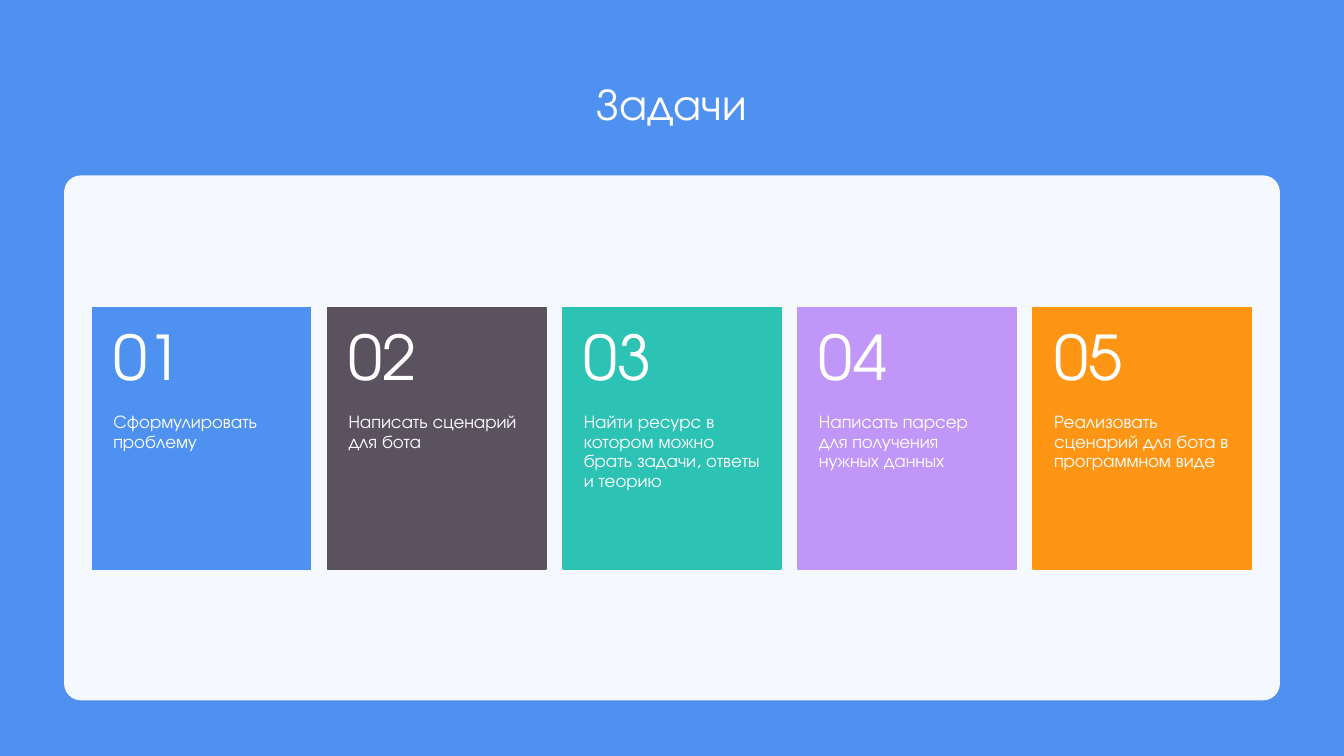
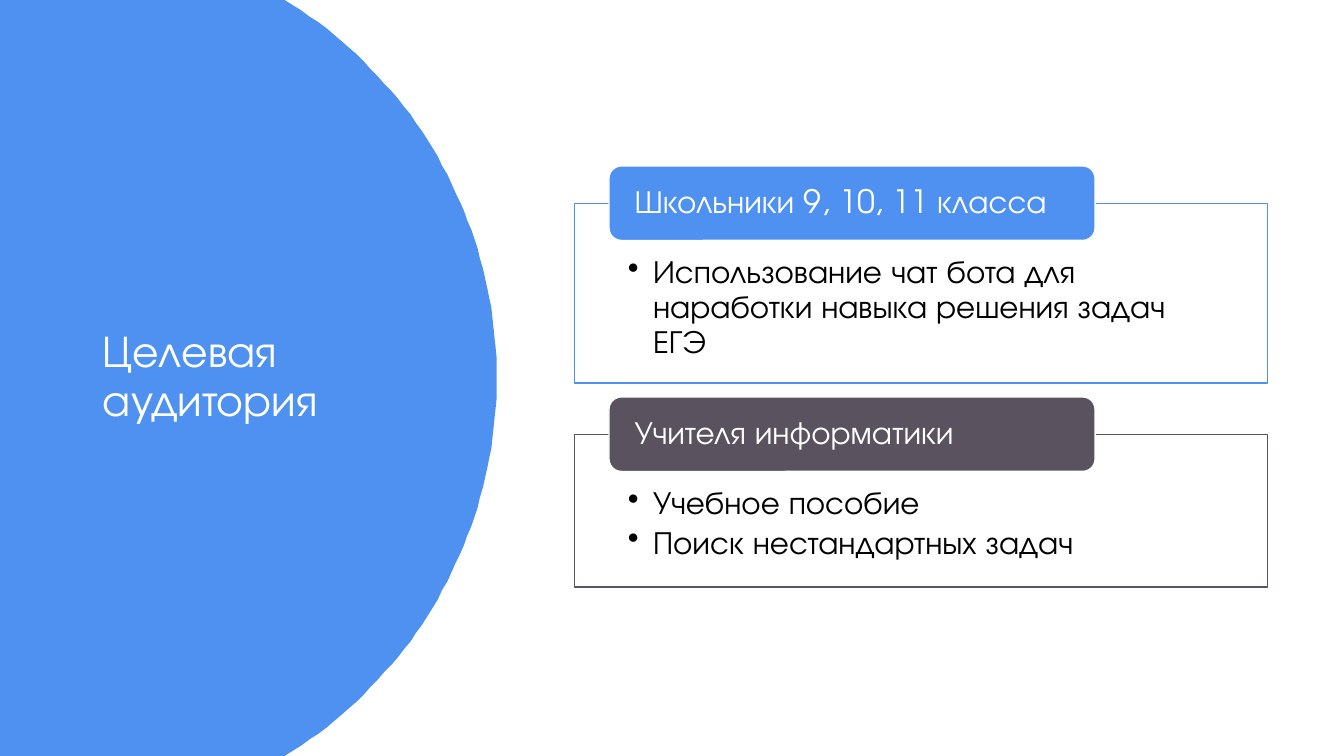
from dataclasses import dataclass
from math import acos, cos, sin

from lxml.etree import SubElement
from pptx import Presentation
from pptx.dml.color import RGBColor
from pptx.enum.shapes import MSO_SHAPE
from pptx.enum.text import MSO_ANCHOR, PP_ALIGN
from pptx.oxml.ns import qn
from pptx.util import Emu, Pt

SLIDE_W, SLIDE_H = 1280, 720


@dataclass(frozen=True)
class Theme:
    font: str = "TeX Gyre Adventor"
    blue: str = "4E91F0"
    grey: str = "5B5260"
    teal: str = "2CC3B4"
    violet: str = "C097F8"
    orange: str = "FF9514"
    white: str = "FFFFFF"
    black: str = "000000"
    title_size: int = 32
    number_size: int = 44
    card_size: int = 13
    body_size: int = 23


THEME = Theme()

TASKS = [
    (THEME.blue, "Сформулировать проблему"),
    (THEME.grey, "Написать сценарий для бота"),
    (THEME.teal, "Найти ресурс в котором можно брать задачи, ответы и теорию"),
    (THEME.violet, "Написать парсер для получения нужных данных"),
    (THEME.orange, "Реализовать сценарий для бота в программном виде"),
]

AUDIENCES = [
    (194, 171, THEME.blue, "Школьники 9, 10, 11 класса",
     ["Использование чат бота для наработки навыка решения задач ЕГЭ"]),
    (414, 145, THEME.grey, "Учителя информатики",
     ["Учебное пособие", "Поиск нестандартных задач"]),
]


def px(n):
    return Emu(n * 9525)


def rgb(color):
    return RGBColor.from_string(color)


def add_slide(prs, color):
    s = prs.slides.add_slide(prs.slide_layouts[6])
    s.background.fill.solid()
    s.background.fill.fore_color.rgb = rgb(color)
    return s


def paint(sp, fill, line=None):
    sp.shadow.inherit = False
    sp.fill.solid()
    sp.fill.fore_color.rgb = rgb(fill)
    if line:
        sp.line.color.rgb = rgb(line)
        sp.line.width = Pt(1)
    else:
        sp.line.fill.background()


def add_box(s, box, fill, line=None, kind=MSO_SHAPE.RECTANGLE):
    sp = s.shapes.add_shape(kind, *map(px, box))
    paint(sp, fill, line)
    return sp


def set_opacity(sp, percent):
    color = sp.fill._xPr.find(f".//{qn('a:srgbClr')}")
    SubElement(color, qn("a:alpha"), val=str(percent * 1000))


def add_bullet(p, indent):
    pPr = p._p.get_or_add_pPr()
    pPr.set("marL", str(px(indent)))
    pPr.set("indent", str(-px(indent)))
    SubElement(pPr, qn("a:buChar"), char="•")


def write(sp, lines, size, color=THEME.white, insets=(10, 5, 10, 5),
          anchor=MSO_ANCHOR.MIDDLE, align=PP_ALIGN.LEFT, bullets=False):
    """Fill a shape with paragraphs; insets run left, top, right, bottom."""
    tf = sp.text_frame
    tf.word_wrap = True
    tf.vertical_anchor = anchor
    tf.margin_left, tf.margin_top, tf.margin_right, tf.margin_bottom = map(px, insets)
    tf.text = "\n".join(lines)
    for p in tf.paragraphs:
        p.alignment = align
        p.line_spacing = 0.9
        if bullets:
            p.space_after = Pt(size * 0.15)
            add_bullet(p, 24)
        for r in p.runs:
            r.font.name = THEME.font
            r.font.size = Pt(size)
            r.font.color.rgb = rgb(color)


def add_text(s, box, text, size, **style):
    write(s.shapes.add_textbox(*map(px, box)), [text], size, **style)


def add_title(s, box, text, align=PP_ALIGN.LEFT):
    add_text(s, box, text, THEME.title_size, align=align)


def add_panel(s):
    sp = add_box(s, (61, 167, 1158, 500), THEME.white,
                 kind=MSO_SHAPE.ROUNDED_RECTANGLE)
    sp.adjustments[0] = 0.032
    set_opacity(sp, 95)


def add_card(s, index, color, text):
    left, top, width, height = 88 + 224 * index, 293, 208, 249
    number_height = 100
    sp = add_box(s, (left, top, width, height), color, color)
    write(sp, [text], THEME.card_size, insets=(20, number_height, 20, 35),
          anchor=MSO_ANCHOR.TOP)
    add_text(s, (left, top, width, number_height), f"{index + 1:02}",
             THEME.number_size, insets=(20, 17, 20, 17))


def add_round_band(s, center_x, radius, steps=90):
    """Cover the left side up to a circular arc centred on the slide's height."""
    middle = SLIDE_H / 2
    end = acos((radius ** 2 - middle ** 2) ** 0.5 / radius)
    angles = [end * (2 * i / steps - 1) for i in range(steps + 1)]
    arc = [(center_x + radius * cos(a), middle + radius * sin(a)) for a in angles]
    builder = s.shapes.build_freeform(0, 0, scale=px(1))
    builder.add_line_segments(arc + [(0, SLIDE_H)], close=True)
    paint(builder.convert_to_shape(), THEME.blue)


def add_audience(s, top, height, color, label, points):
    frame = add_box(s, (547, top, 660, height), THEME.white, color)
    write(frame, points, THEME.body_size, THEME.black, insets=(51, 50, 51, 17),
          anchor=MSO_ANCHOR.TOP, bullets=True)
    tab = add_box(s, (580, top - 36, 463, 71), color, THEME.white,
                  MSO_SHAPE.ROUNDED_RECTANGLE)
    write(tab, [label], THEME.body_size, insets=(21, 0, 21, 0))


def add_tasks_slide(prs):
    s = add_slide(prs, THEME.blue)
    add_title(s, (88, 48, 1104, 106), "Задачи", PP_ALIGN.CENTER)
    add_panel(s)
    for index, (color, text) in enumerate(TASKS):
        add_card(s, index, color, text)


def add_audience_slide(prs):
    s = add_slide(prs, THEME.white)
    add_round_band(s, center_x=51, radius=422)
    add_title(s, (88, 67, 310, 585), "Целевая аудитория")
    for audience in AUDIENCES:
        add_audience(s, *audience)


def main():
    prs = Presentation()
    prs.slide_width, prs.slide_height = px(SLIDE_W), px(SLIDE_H)
    add_tasks_slide(prs)
    add_audience_slide(prs)
    prs.save("out.pptx")


if __name__ == "__main__":
    main()
